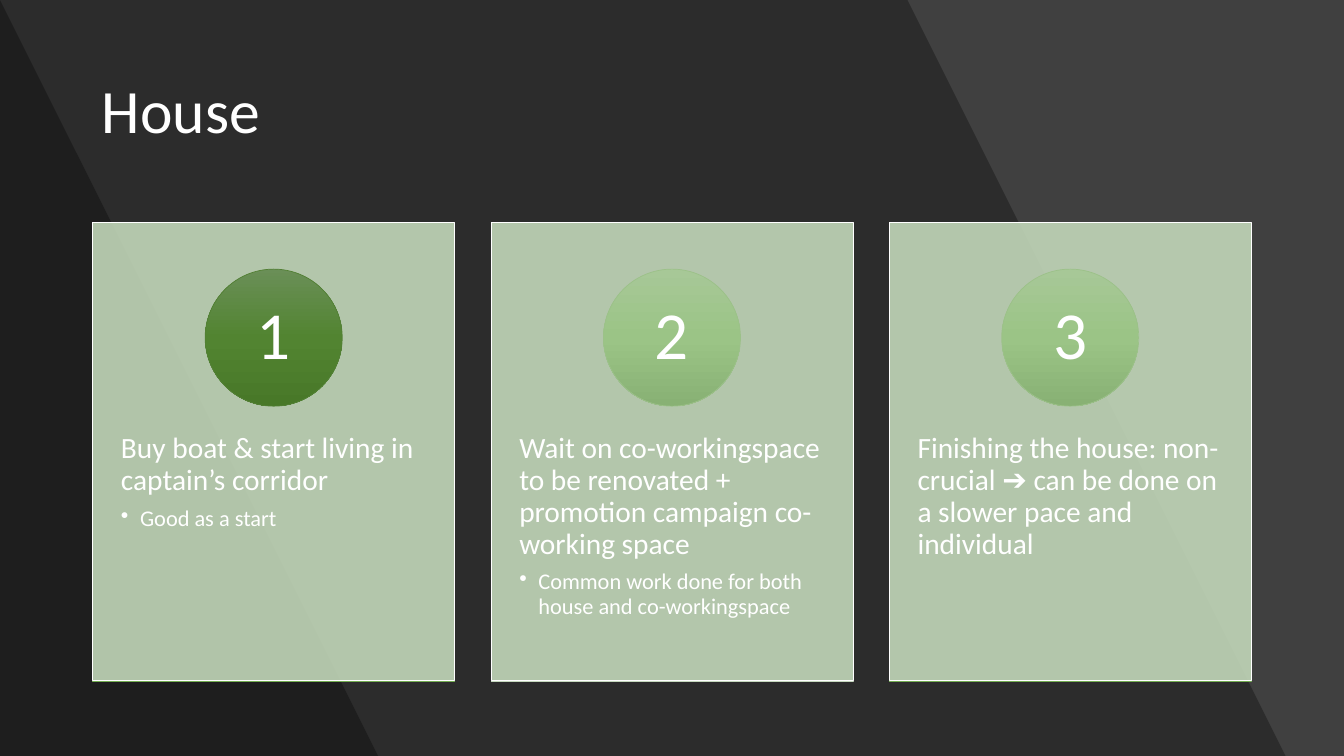
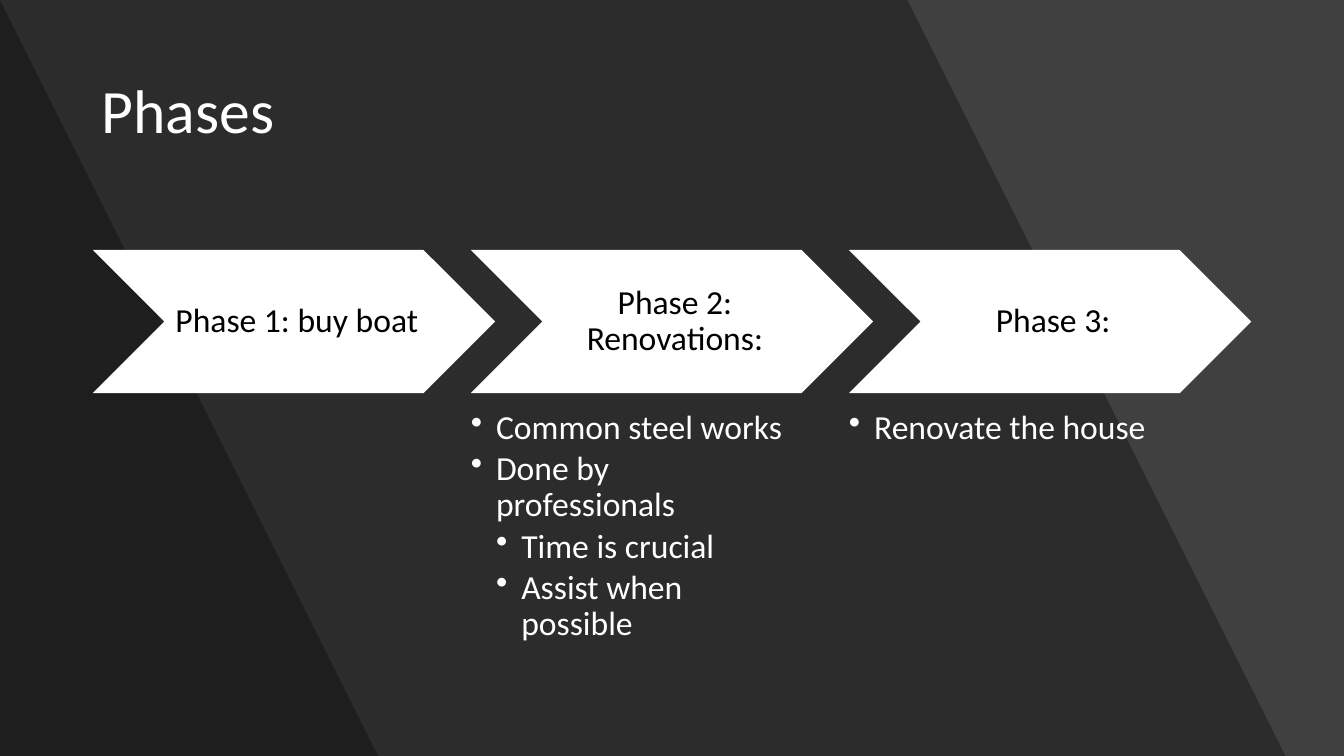
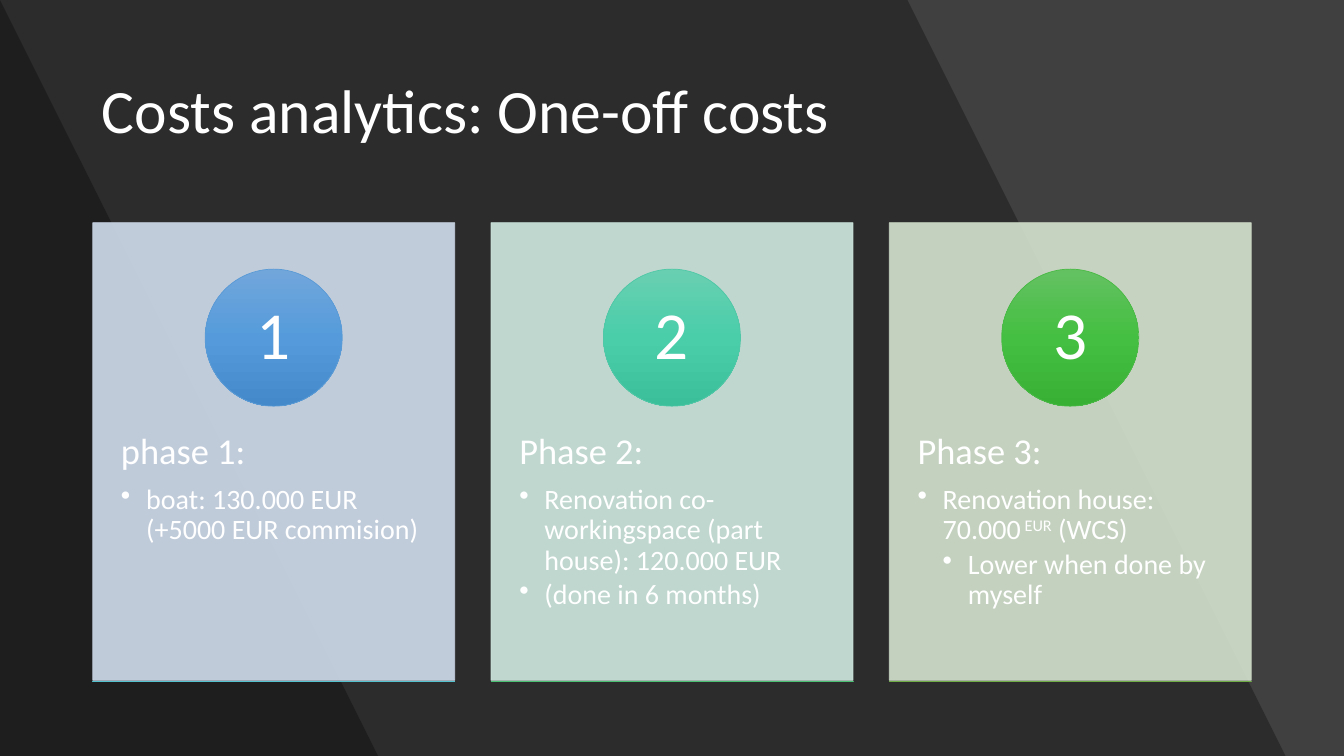
from copy import deepcopy
from typing import NamedTuple

from lxml.etree import SubElement
from pptx import Presentation
from pptx.dml.color import RGBColor
from pptx.enum.shapes import MSO_SHAPE
from pptx.enum.text import MSO_ANCHOR, MSO_AUTO_SIZE, PP_ALIGN
from pptx.oxml.ns import qn
from pptx.util import Inches, Pt

FONT = "Calibri"
WHITE = RGBColor(0xFF, 0xFF, 0xFF)
BLACK = RGBColor(0x00, 0x00, 0x00)
BACKGROUND = RGBColor(0x40, 0x40, 0x40)

SLIDE_W, SLIDE_H = 13.33, 7.5
BAND_EDGES = [(9.42, 12.89), (0.44, 3.92)]  # right edge at top and at bottom

CONTENT_LEFT = 0.92
CARD_TOP, CARD_W, CARD_H, CARD_PITCH = 2.21, 3.59, 4.54, 3.95
CARD_TEXT_TOP, CARD_TEXT_H = 3.94, 2.73
CARD_RULE_TOP = 6.76
BADGE_TOP, BADGE_SIZE = 2.67, 1.36
CHEVRON_TOP, CHEVRON_W, CHEVRON_H, CHEVRON_PITCH = 2.48, 3.99, 1.42, 3.75
DETAIL_TOP, DETAIL_W, DETAIL_H = 4.07, 3.19, 2.42


class Line(NamedTuple):
    level: int
    text: str
    superscript: str = ""
    tail: str = ""


class Palette(NamedTuple):
    card: RGBColor
    badge: list
    badge_line: RGBColor
    rule: list
    rule_line: RGBColor


class Card(NamedTuple):
    palette: Palette
    lines: list


def palette(card, badge, badge_line, rule, rule_line):
    def colour(code):
        return RGBColor.from_string(code)

    return Palette(colour(card), [colour(c) for c in badge.split()], colour(badge_line),
                   [colour(c) for c in rule.split()], colour(rule_line))


DARK_GREEN = palette("C2D7B9", "6A8F57 528431 487828", "538035",
                     "84B76A 72B34D 64A340", "73AE51")
PALE_GREEN = palette("C2D7B9", "A7C897 9BC486 88B174", "9CC189",
                     "CDDEC6 C4D9BB AEC3A5", "C5D8BD")
MID_GREEN = PALE_GREEN._replace(rule=DARK_GREEN.rule, rule_line=DARK_GREEN.rule_line)
BLUE = palette("D2DEEF", "71A6DB 559BDB 448ACA", "5B9BD5",
               "6DCAD5 4FC7D5 3FB7C4", "55C3CF")
TEAL = palette("D0EAE1", "69CFB1 4ACEAA 3BBE9A", "50C8A7",
               "66C885 45C772 37B764", "4BC174")
GREEN = palette("D5E3CF", "64C162 44BF41 37B034", "4ABA46",
                "81B861 6FB242 62A336", "70AD47")

HOUSE_CARDS = [
    Card(DARK_GREEN, [Line(0, "Buy boat & start living in captain’s corridor"),
                      Line(1, "Good as a start")]),
    Card(PALE_GREEN, [Line(0, "Wait on co-workingspace to be renovated + "
                              "promotion campaign co-working space"),
                      Line(1, "Common work done for both house and co-workingspace")]),
    Card(MID_GREEN, [Line(0, "Finishing the house: non-crucial ➔ can be done on "
                             "a slower pace and individual")]),
]
PHASES = [
    ("Phase 1: buy boat", []),
    ("Phase 2: Renovations:", [Line(1, "Common steel works"),
                               Line(1, "Done by professionals"),
                               Line(2, "Time is crucial"),
                               Line(2, "Assist when possible")]),
    ("Phase 3:", [Line(1, "Renovate the house")]),
]
COST_CARDS = [
    Card(BLUE, [Line(0, "phase 1:"),
                Line(1, "boat: 130.000 EUR (+5000 EUR commision)")]),
    Card(TEAL, [Line(0, "Phase 2:"),
                Line(1, "Renovation co-workingspace (part house): 120.000 EUR"),
                Line(1, "(done in 6 months)")]),
    Card(GREEN, [Line(0, "Phase 3:"),
                 Line(1, "Renovation house: 70.000", " EUR", " (WCS)"),
                 Line(2, "Lower when done by myself")]),
]


def set_opacity(fill_parent, percent):
    """Make the solid fill held by an spPr or ln element partly transparent."""
    colour = fill_parent.find(qn("a:solidFill"))[0]
    SubElement(colour, qn("a:alpha")).set("val", str(percent * 1000))


def set_gradient(shape, colours):
    """Fill from top to bottom with evenly spaced colours."""
    shape.fill.gradient()
    shape.fill.gradient_angle = 270
    stop_list = shape.element.spPr.find(qn("a:gradFill")).find(qn("a:gsLst"))
    while len(stop_list) < len(colours):
        stop_list.append(deepcopy(stop_list[-1]))
    for i, (stop, colour) in enumerate(zip(shape.fill.gradient_stops, colours)):
        stop.color.rgb = colour
        stop.position = i / (len(colours) - 1)


def format_run(run, size, colour):
    run.font.name = FONT
    run.font.size = Pt(size)
    run.font.color.rgb = colour


def set_frame(frame, insets, anchor):
    frame.word_wrap = True
    frame.auto_size = MSO_AUTO_SIZE.NONE
    frame.vertical_anchor = anchor
    (frame.margin_left, frame.margin_top,
     frame.margin_right, frame.margin_bottom) = [Inches(n) for n in insets]


def format_paragraph(paragraph, level, step):
    """Set spacing, and for levels above 0 a bullet indented by step per level."""
    paragraph.level = level
    paragraph.line_spacing = 0.9
    properties = paragraph._p.get_or_add_pPr()
    space_after = SubElement(properties, qn("a:spcAft"))
    SubElement(space_after, qn("a:spcPct")).set("val", "15000" if level else "35000")
    if level:
        properties.set("marL", str(Inches(step * level)))
        properties.set("indent", str(Inches(-step)))
        SubElement(properties, qn("a:buChar")).set("char", "•")


def add_lines(slide, box, lines, sizes, step, insets):
    """Add a text box; sizes are those of the heading and of the bullets."""
    frame = slide.shapes.add_textbox(*[Inches(n) for n in box]).text_frame
    set_frame(frame, insets, MSO_ANCHOR.TOP)
    frame.text = "\n".join(line.text for line in lines)
    for paragraph, line in zip(frame.paragraphs, lines):
        format_paragraph(paragraph, line.level, step)
        if line.superscript:
            raised, tail = paragraph.add_run(), paragraph.add_run()
            raised.text, tail.text = line.superscript, line.tail
            raised.font._rPr.set("baseline", "30000")
        for run in paragraph.runs:
            format_run(run, sizes[min(line.level, 1)], WHITE)


def add_plain_shape(slide, kind, box):
    shape = slide.shapes.add_shape(kind, *[Inches(n) for n in box])
    shape.shadow.inherit = False
    return shape


def set_outline(shape, colour):
    shape.line.color.rgb = colour
    shape.line.width = Pt(0.5)


def set_label(shape, text, size, colour, insets):
    set_frame(shape.text_frame, insets, MSO_ANCHOR.MIDDLE)
    shape.text_frame.text = text
    paragraph = shape.text_frame.paragraphs[0]
    format_paragraph(paragraph, 0, 0)
    paragraph.alignment = PP_ALIGN.CENTER
    format_run(paragraph.runs[0], size, colour)


def add_card(slide, number, card, sizes, step, card_line):
    left = CONTENT_LEFT + (number - 1) * CARD_PITCH
    colours = card.palette

    panel = add_plain_shape(slide, MSO_SHAPE.RECTANGLE, (left, CARD_TOP, CARD_W, CARD_H))
    panel.fill.solid()
    panel.fill.fore_color.rgb = colours.card
    set_opacity(panel.element.spPr, 90)
    set_outline(panel, card_line or colours.card)
    if not card_line:
        set_opacity(panel.element.spPr.find(qn("a:ln")), 90)

    add_lines(slide, (left, CARD_TEXT_TOP, CARD_W, CARD_TEXT_H), card.lines,
              sizes, step, (0.28, 0.36, 0.28, 0.36))

    badge_left = left + (CARD_W - BADGE_SIZE) / 2
    badge = add_plain_shape(slide, MSO_SHAPE.OVAL,
                            (badge_left, BADGE_TOP, BADGE_SIZE, BADGE_SIZE))
    set_gradient(badge, colours.badge)
    set_outline(badge, colours.badge_line)
    set_label(badge, str(number), 48, WHITE, (0.11, 0.01, 0.11, 0.01))

    rule = add_plain_shape(slide, MSO_SHAPE.RECTANGLE, (left, CARD_RULE_TOP, CARD_W, 0))
    set_gradient(rule, colours.rule)
    set_outline(rule, colours.rule_line)


def add_cards(slide, cards, sizes, step, card_line=None):
    """Add numbered cards; without card_line each outline matches its card."""
    for number, card in enumerate(cards, 1):
        add_card(slide, number, card, sizes, step, card_line)


def add_phase(slide, index, title, details):
    left = CONTENT_LEFT + index * CHEVRON_PITCH
    chevron = add_plain_shape(slide, MSO_SHAPE.CHEVRON,
                              (left, CHEVRON_TOP, CHEVRON_W, CHEVRON_H))
    chevron.fill.solid()
    chevron.fill.fore_color.rgb = WHITE
    chevron.line.fill.background()
    set_label(chevron, title, 24, BLACK, (0.1, 0.04, 0.04, 0.04))
    if details:
        add_lines(slide, (left, DETAIL_TOP, DETAIL_W, DETAIL_H), details,
                  (24, 24), 0.25, (0, 0, 0, 0))


def add_titled_slide(deck, title):
    slide = deck.slides.add_slide(deck.slide_layouts[5])
    heading = slide.shapes.title
    heading.left, heading.top = Inches(0.91), Inches(0.4)
    heading.width, heading.height = Inches(11.51), Inches(1.45)
    set_frame(heading.text_frame, (0.1, 0.05, 0.1, 0.05), MSO_ANCHOR.MIDDLE)
    heading.text_frame.text = title
    paragraph = heading.text_frame.paragraphs[0]
    paragraph.alignment = PP_ALIGN.LEFT
    paragraph.line_spacing = 0.9
    format_run(paragraph.runs[0], 44, WHITE)
    return slide


def decorate_layout(slide):
    """Give the layout of this slide its background and slanted bands."""
    layout = slide.slide_layout
    layout.background.fill.solid()
    layout.background.fill.fore_color.rgb = BACKGROUND
    for position, (top_edge, bottom_edge) in enumerate(BAND_EDGES, 2):
        outline = slide.shapes.build_freeform(0, 0, scale=Inches(1))
        outline.add_line_segments([(top_edge, 0), (bottom_edge, SLIDE_H), (0, SLIDE_H)])
        band = outline.convert_to_shape()
        band.shadow.inherit = False
        band.fill.solid()
        band.fill.fore_color.rgb = BLACK
        set_opacity(band.element.spPr, 30)
        band.line.fill.background()
        layout.shapes.element.insert(position, band.element)


def main():
    deck = Presentation()
    deck.slide_width, deck.slide_height = Inches(SLIDE_W), Inches(SLIDE_H)

    house = add_titled_slide(deck, "House")
    decorate_layout(house)
    add_cards(house, HOUSE_CARDS, (21, 16), 0.19, WHITE)

    phases = add_titled_slide(deck, "Phases")
    for index, (title, details) in enumerate(PHASES):
        add_phase(phases, index, title, details)

    costs = add_titled_slide(deck, "Costs analytics: One-off costs")
    add_cards(costs, COST_CARDS, (26, 20), 0.25)

    deck.save("out.pptx")


if __name__ == "__main__":
    main()
